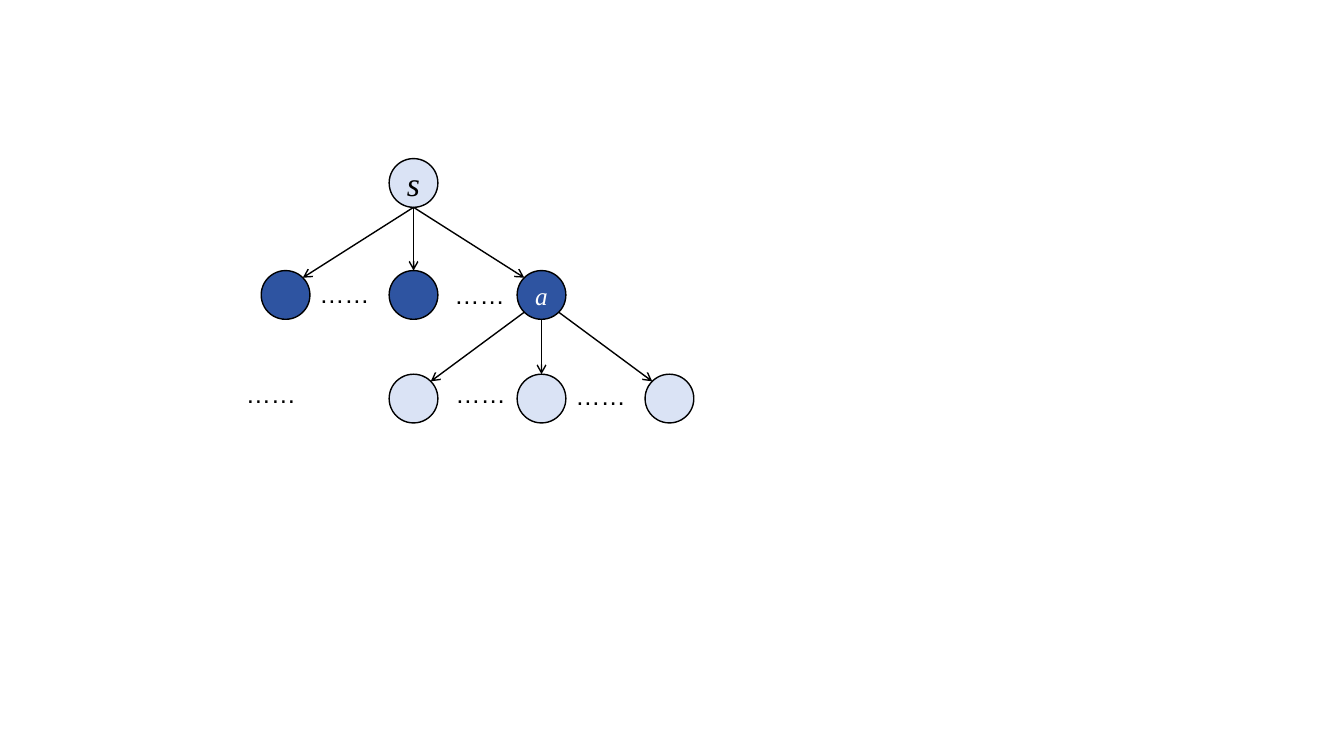
from math import sqrt

from lxml import etree
from pptx import Presentation
from pptx.dml.color import RGBColor
from pptx.enum.shapes import MSO_CONNECTOR, MSO_SHAPE
from pptx.enum.text import MSO_ANCHOR, MSO_AUTO_SIZE, PP_ALIGN
from pptx.oxml.ns import qn
from pptx.util import Pt

STRAIGHT = MSO_CONNECTOR.STRAIGHT
OVAL = MSO_SHAPE.OVAL
MIDDLE = MSO_ANCHOR.MIDDLE
CENTER = PP_ALIGN.CENTER
FIT_SHAPE = MSO_AUTO_SIZE.SHAPE_TO_FIT_TEXT

BLACK = RGBColor(0x00, 0x00, 0x00)
WHITE = RGBColor(0xFF, 0xFF, 0xFF)
PALE_BLUE = RGBColor(0xDA, 0xE3, 0xF5)
DARK_BLUE = RGBColor(0x2E, 0x54, 0xA1)

RADIUS = 17.4
DIAGONAL = RADIUS / sqrt(2)
COLUMNS = [204 + 91.4 * index for index in range(4)]
STATE_Y, ACTION_Y, NEXT_Y = 130.7, 210.7, 284.7


class TreePage:
    label_font = "Times New Roman"
    dots_font = "Arial"
    line_width = 1

    def __init__(self, deck):
        self.page = deck.slides.add_slide(deck.slide_layouts[6])

    def add_span(self, para, text, font, size, color, italic=False):
        span = para.add_run()
        span.text = text
        span.font.name = font
        span.font.size = Pt(size)
        span.font.italic = italic
        span.font.color.rgb = color

    def node(self, x, y, fill, label="", size=18, color=BLACK):
        circle = self.page.shapes.add_shape(
            OVAL, Pt(x - RADIUS), Pt(y - RADIUS), Pt(2 * RADIUS), Pt(2 * RADIUS))
        circle.shadow.inherit = False
        circle.fill.solid()
        circle.fill.fore_color.rgb = fill
        circle.line.color.rgb = BLACK
        circle.line.width = Pt(self.line_width)
        if label:
            circle.text_frame.vertical_anchor = MIDDLE
            para = circle.text_frame.paragraphs[0]
            para.alignment = CENTER
            self.add_span(para, label, self.label_font, size, color, True)

    def arrow(self, start, end):
        line = self.page.shapes.add_connector(
            STRAIGHT, *(Pt(value) for value in (*start, *end)))
        line.line.color.rgb = BLACK
        line.line.width = Pt(self.line_width)
        outline = line.line._get_or_add_ln()
        etree.SubElement(outline, qn("a:tailEnd"), type="arrow")
        etree.SubElement(line._element.spPr, qn("a:effectLst"))

    def dots(self, left, top):
        box = self.page.shapes.add_textbox(Pt(left), Pt(top), Pt(62.6), Pt(28.8))
        box.text_frame.word_wrap = True
        box.text_frame.auto_size = FIT_SHAPE
        self.add_span(box.text_frame.paragraphs[0], "……", self.dots_font, 18, BLACK)


def main():
    deck = Presentation()
    deck.slide_width, deck.slide_height = Pt(960), Pt(540)
    tree = TreePage(deck)

    state_x, action_x = COLUMNS[1], COLUMNS[2]
    tree.node(state_x, STATE_Y, PALE_BLUE, "s", 24)
    for x in COLUMNS[:2]:
        tree.node(x, ACTION_Y, DARK_BLUE)
    tree.node(action_x, ACTION_Y, DARK_BLUE, "a", 18, WHITE)
    for x in COLUMNS[1:]:
        tree.node(x, NEXT_Y, PALE_BLUE)

    for side in (-1, 0, 1):
        reach = DIAGONAL if side else RADIUS
        shift = side * DIAGONAL
        tree.arrow((state_x, STATE_Y + RADIUS),
                   (COLUMNS[1 + side] - shift, ACTION_Y - reach))
        tree.arrow((action_x + shift, ACTION_Y + reach),
                   (COLUMNS[2 + side] - shift, NEXT_Y - reach))

    for left, top in ((168.5, 266.4), (221, 195.1), (317.5, 195.8),
                      (318.2, 266.4), (403.9, 267.8)):
        tree.dots(left, top)

    deck.save("out.pptx")


if __name__ == "__main__":
    main()
